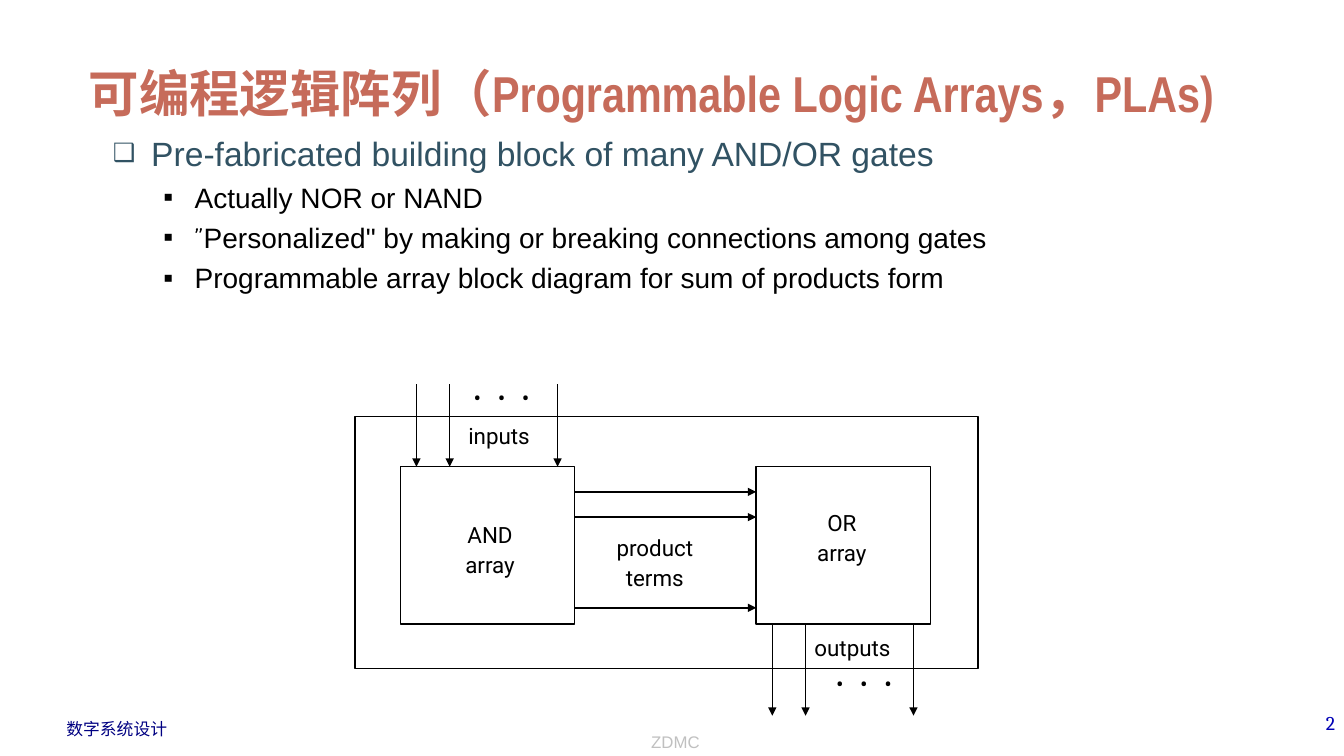
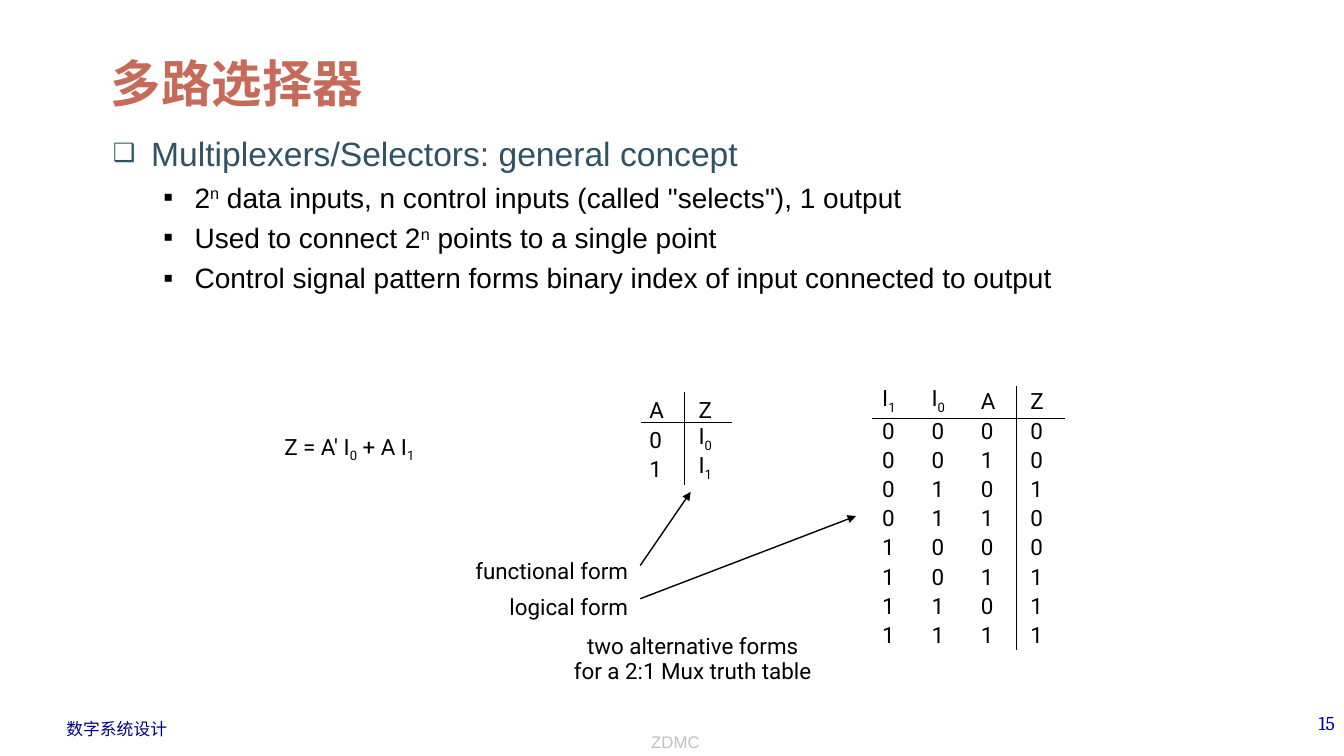
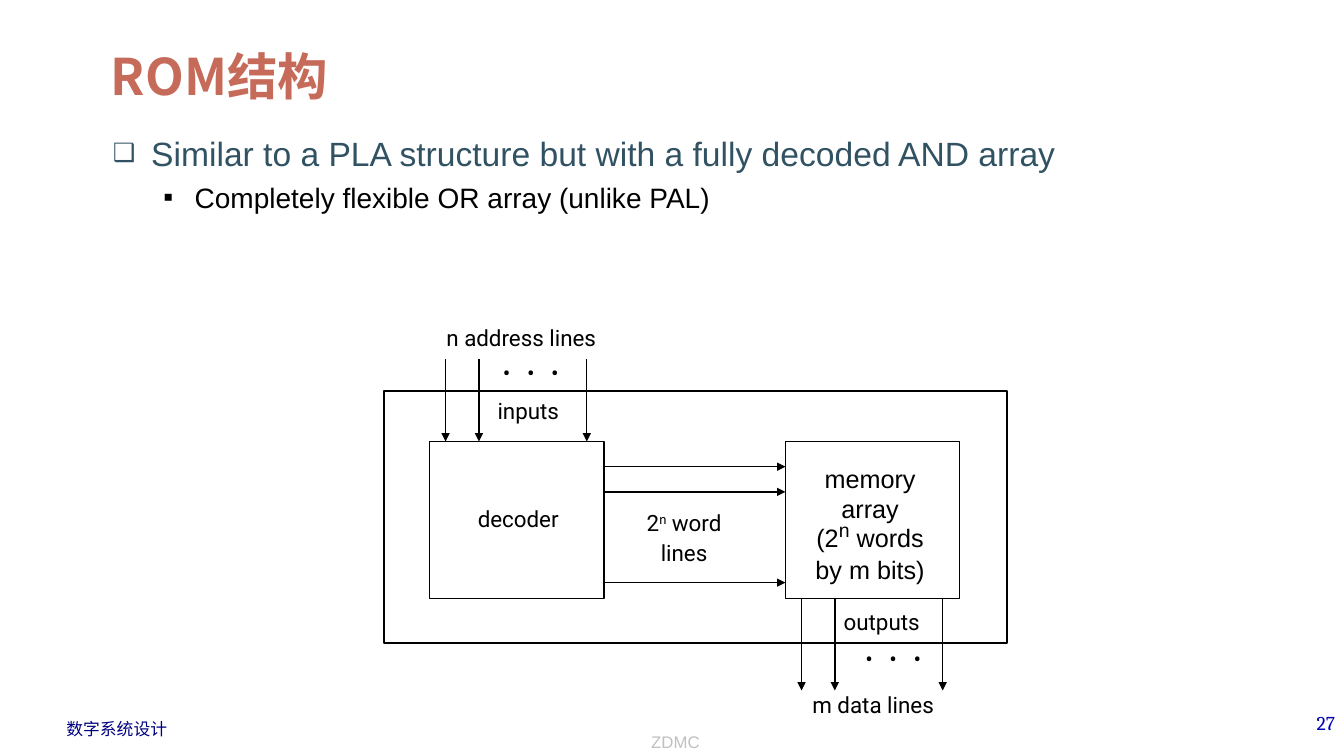
from lxml import etree
from pptx import Presentation
from pptx import util as u
from pptx.dml import color
from pptx.enum import shapes, text
from pptx.oxml import ns

BLACK, CORAL, TEAL = "000000", "C66B5A", "315263"
NAVY, BLUE, GRAY = "000082", "0000B6", "C0C0C0"
CJK = "Noto Sans CJK SC"
SHIFT = {"^": "30000", "_": "-25000"}
LEFT, CENTER, RIGHT = text.PP_ALIGN.LEFT, text.PP_ALIGN.CENTER, text.PP_ALIGN.RIGHT
TOP, BOTTOM = text.MSO_ANCHOR.TOP, text.MSO_ANCHOR.BOTTOM
LABEL = {"size": 16, "name": "Roboto", "hex_color": BLACK}
MEMORY = {"size": 18, "name": "Arial", "hex_color": BLACK, "raised": 24}
BULLETS = [
    {"char": "❑", "size": 24, "hex_color": TEAL, "left": 0.38, "hang": 0.38, "percent": 75},
    {"char": "▪", "size": 20, "hex_color": BLACK, "left": 0.81, "hang": 0.31, "percent": 100},
]
NO_GRID = "{2D5ABB26-0587-4C30-8999-92F81FD0307C}"


def rgb(hex_color):
    """Turn a hex string into a colour."""
    return color.RGBColor.from_string(hex_color)


def child(parent, tag, **attrs):
    """Append a drawing element with the given attributes."""
    return etree.SubElement(parent, ns.qn(tag), attrs)


def set_all(target, values):
    """Set attributes of an object from a dict."""
    for name, value in values.items():
        setattr(target, name, value)


def place(sp, x, y, w, h):
    """Move a shape to a box in inches."""
    set_all(sp, {"left": u.Inches(x), "top": u.Inches(y),
                 "width": u.Inches(w), "height": u.Inches(h)})


def add_run(p, words, size, name, hex_color, bold=False, shift=None, spread=0):
    """Add one formatted run to a paragraph."""
    r = p.add_run()
    r.text = words
    set_all(r.font, {"size": u.Pt(size), "bold": bold, "name": name})
    r.font.color.rgb = rgb(hex_color)
    props = r._r.get_or_add_rPr()
    child(props, "a:ea", typeface=CJK)
    if shift:
        props.set("baseline", shift)
    if spread:
        props.set("spc", str(spread * 100))


def add_markup(p, markup, raised=None, **fmt):
    """Write lines in which ^ raises and _ lowers the next character."""
    for n, line in enumerate(markup.split("\n")):
        if n:
            p.add_line_break()
        for piece in line.replace("^", "|^").replace("_", "|_").split("|"):
            if piece[:1] in SHIFT:
                small = {**fmt, "size": raised or fmt["size"]}
                add_run(p, piece[1], shift=SHIFT[piece[0]], **small)
                piece = piece[2:]
            if piece:
                add_run(p, piece, **fmt)


def add_text(s, box, *lines, align=LEFT, anchor=TOP, inset=(0.02, 0.03), pitch=None,
             wrap=False, **fmt):
    """Place a text box with one paragraph for each line."""
    sp = s.shapes.add_textbox(*map(u.Inches, box))
    tf = sp.text_frame
    dx, dy = map(u.Inches, inset)
    set_all(tf, {"word_wrap": wrap, "vertical_anchor": anchor, "margin_left": dx,
                 "margin_right": dx, "margin_top": dy, "margin_bottom": dy})
    for n, line in enumerate(lines):
        p = tf.add_paragraph() if n else tf.paragraphs[0]
        p.alignment = align
        if pitch:
            p.line_spacing = u.Pt(pitch)
        add_markup(p, line, **fmt)


def add_line(s, x1, y1, x2, y2, arrow=False):
    """Draw a thin black line, with an arrowhead if wanted."""
    c = s.shapes.add_connector(shapes.MSO_CONNECTOR.STRAIGHT, *map(u.Inches, (x1, y1, x2, y2)))
    c.line.width = u.Pt(1)
    c.line.color.rgb = rgb(BLACK)
    if arrow:
        child(c.line._get_or_add_ln(), "a:tailEnd", type="triangle")
    child(c._element.spPr, "a:effectLst")


def add_frame(s, x, y, w, h):
    """Draw an unfilled black rectangle."""
    sp = s.shapes.add_shape(shapes.MSO_SHAPE.RECTANGLE, *map(u.Inches, (x, y, w, h)))
    sp.shadow.inherit = False
    sp.fill.background()
    sp.line.width = u.Pt(1)
    sp.line.color.rgb = rgb(BLACK)


def fill_title(sp, box, runs):
    """Place the title and write its runs of words and font."""
    place(sp, *box)
    tf = sp.text_frame
    set_all(tf, {"word_wrap": True, "vertical_anchor": BOTTOM,
                 "auto_size": text.MSO_AUTO_SIZE.NONE})
    p = tf.paragraphs[0]
    p.alignment = LEFT
    for words, name in runs:
        add_run(p, words, 36, name, CORAL, bold=True)


def fill_body(sp, items):
    """Place the bullet list; the first item is the heading."""
    place(sp, 1.02, 1.27, 11.33, 5.36)
    tf = sp.text_frame
    set_all(tf, {"word_wrap": True, "auto_size": text.MSO_AUTO_SIZE.NONE})
    for n, item in enumerate(items):
        p = tf.add_paragraph() if n else tf.paragraphs[0]
        level = min(n, 1)
        b = BULLETS[level]
        set_all(p, {"level": level, "space_before": u.Pt(4.8)})
        props = p._p.get_or_add_pPr()
        props.set("marL", str(u.Inches(b["left"])))
        props.set("indent", str(-u.Inches(b["hang"])))
        child(child(props, "a:buClr"), "a:srgbClr", val=b["hex_color"])
        child(props, "a:buSzPct", val=str(b["percent"] * 1000))
        child(props, "a:buFont", typeface="Arial")
        child(props, "a:buChar", char=b["char"])
        for words, name in item if isinstance(item, list) else [(item, "Arial")]:
            add_markup(p, words, size=b["size"], name=name, hex_color=b["hex_color"])


def add_page(prs, number, title_box, title, items):
    """Add a slide with title, list and footer."""
    s = prs.slides.add_slide(prs.slide_layouts[1])
    fill_title(s.shapes.title, title_box, title)
    fill_body(s.placeholders[1], items)
    margins = {"inset": (0.1, 0.05)}
    add_text(s, (0.56, 7.08, 1.21, 0.3), "数字系统设计", size=12, name="Arial",
             hex_color=NAVY, **margins)
    add_text(s, (10.56, 7, 2.78, 0.5), number, align=RIGHT, wrap=True, size=14,
             name="Cambria", hex_color=BLUE, **margins)
    add_text(s, (3.45, 7, 6.5, 0.51), "ZDMC", align=CENTER, anchor=BOTTOM, wrap=True,
             size=12, name="Arial", hex_color=GRAY, **margins)
    return s


def add_array_diagram(s, x, y, first, second, between, ends=()):
    """Draw two linked arrays in a frame whose corner is x, y."""
    block_w, block_h, block_y = 1.73, 1.56, y + 0.5
    left_x, right_x = x + 0.45, x + 3.98
    bottom = block_y + block_h
    add_frame(s, x, y, 6.18, 2.5)
    for block_x in (left_x, right_x):
        add_frame(s, block_x, block_y, block_w, block_h)
    for dx in (0.16, 0.49, 1.56):
        add_line(s, left_x + dx, y - 0.32, left_x + dx, block_y, arrow=True)
        add_line(s, right_x + dx, bottom, right_x + dx, bottom + 0.91, arrow=True)
    for dy in (0.25, 0.5, 1.4):
        add_line(s, left_x + block_w, block_y + dy, right_x, block_y + dy, arrow=True)
    for dx, dy, w in ((0.98, -0.37, 0.95), (4.46, 2.47, 1.18)):
        add_text(s, (x + dx, y + dy, w, 0.43), "• • •", align=CENTER, pitch=20.8,
                 spread=4, **LABEL)
    labels = [("inputs", 0.93, -0.01, 1, LABEL), ("outputs", 4.3, 2.09, 1.27, LABEL),
              (between, 2.19, 1.1, 1.57, LABEL), first, second, *ends]
    for words, dx, dy, w, fmt in labels:
        add_text(s, (x + dx, y + dy, w, 0.71), words, align=CENTER, pitch=21.8, **fmt)


def add_truth_table(s, x, y, rows):
    """Place a truth table without a grid, with its corner at x, y."""
    col_w, row_h = 0.49, 0.29
    count = len(rows[0])
    frame = s.shapes.add_table(len(rows), count, *map(
        u.Inches, (x, y, col_w * count, row_h * len(rows))))
    table = frame.table
    set_all(table, {"first_row": False, "horz_banding": False})
    table._tbl.tblPr.find(ns.qn("a:tableStyleId")).text = NO_GRID
    for col in table.columns:
        col.width = u.Inches(col_w)
    for i, row in enumerate(rows):
        table.rows[i].height = u.Inches(row_h)
        for j, value in enumerate(row):
            cell = table.cell(i, j)
            cell.fill.background()
            set_all(cell, {"margin_left": u.Inches(0.02), "margin_right": 0,
                           "margin_top": 0, "margin_bottom": 0})
            p = cell.text_frame.paragraphs[0]
            p.line_spacing = u.Pt(20.8)
            add_markup(p, value, **LABEL)


def pla_slide(prs):
    """Build the slide on programmable logic arrays."""
    s = add_page(prs, "2", (0.78, 0.25, 11.56, 1.02),
                 [("可编程逻辑阵列", CJK), ("（Programmable Logic Arrays，PLAs)", "Arial Narrow")],
                 ["Pre-fabricated building block of many AND/OR gates",
                  "Actually NOR or NAND",
                  [("”", "Comic Neue"),
                   ("Personalized\" by making or breaking connections among gates", "Arial")],
                  "Programmable array block diagram for sum of products form"])
    add_array_diagram(s, 3.52, 4.13, ("AND\narray", 0.75, 0.97, 1.18, LABEL),
                      ("OR\narray", 3.83, 0.85, 2, LABEL), "product\nterms")


def mux_slide(prs):
    """Build the slide on multiplexers."""
    s = add_page(prs, "15", (1, 0.25, 11.33, 0.92), [("多路选择器", CJK)],
                 ["Multiplexers/Selectors: general concept",
                  "2^n data inputs, n control inputs (called \"selects\"), 1 output",
                  "Used to connect 2^n points to a single point",
                  "Control signal pattern forms binary index of input connected to output"])
    add_text(s, (2.8, 4.28, 1.94, 0.45), "Z = A' I_0 + A I_1", pitch=20.8, **LABEL)
    add_text(s, (4.22, 5.41, 2.03, 0.85), "functional form", "logical form",
             align=RIGHT, pitch=25.6, **LABEL)
    add_text(s, (5.28, 6.26, 3.18, 0.66), "two alternative forms", "for a 2:1 Mux truth table",
             align=CENTER, pitch=17.8, **LABEL)
    add_line(s, 6.35, 5.61, 6.85, 4.88, arrow=True)
    add_line(s, 6.35, 5.94, 8.49, 5.12, arrow=True)
    add_truth_table(s, 6.42, 3.92, [("A", "Z"), ("0", "I_0"), ("1", "I_1")])
    add_line(s, 6.79, 3.89, 6.79, 4.81)
    add_line(s, 6.36, 4.19, 7.26, 4.19)
    outputs = "00100111"
    logic = [(*format(n, "03b"), z) for n, z in enumerate(outputs)]
    add_truth_table(s, 8.73, 3.83, [("I_1", "I_0", "A", "Z"), *logic])
    add_line(s, 10.08, 3.83, 10.08, 6.45)
    add_line(s, 8.65, 4.15, 10.56, 4.15)


def rom_slide(prs):
    """Build the slide on ROM structure."""
    s = add_page(prs, "27", (1, 0.25, 11.33, 0.85), [("ROM结构", CJK)],
                 ["Similar to a PLA structure but with a fully decoded AND array",
                  "Completely flexible OR array (unlike PAL)"])
    add_array_diagram(s, 3.81, 3.88, ("decoder", 0.74, 1.06, 1.18, LABEL),
                      ("memory\narray\n(2^n words\nby m bits)", 3.82, 0.68, 2, MEMORY),
                      "2^n word\nlines",
                      [("n address lines", 0.27, -0.73, 2.18, LABEL),
                       ("m data lines", 3.76, 2.91, 2.18, LABEL)])


def main():
    """Build and save the presentation."""
    prs = Presentation()
    prs.slide_width, prs.slide_height = u.Inches(13.33), u.Inches(7.5)
    for build in (pla_slide, mux_slide, rom_slide):
        build(prs)
    prs.save("out.pptx")


if __name__ == "__main__":
    main()
